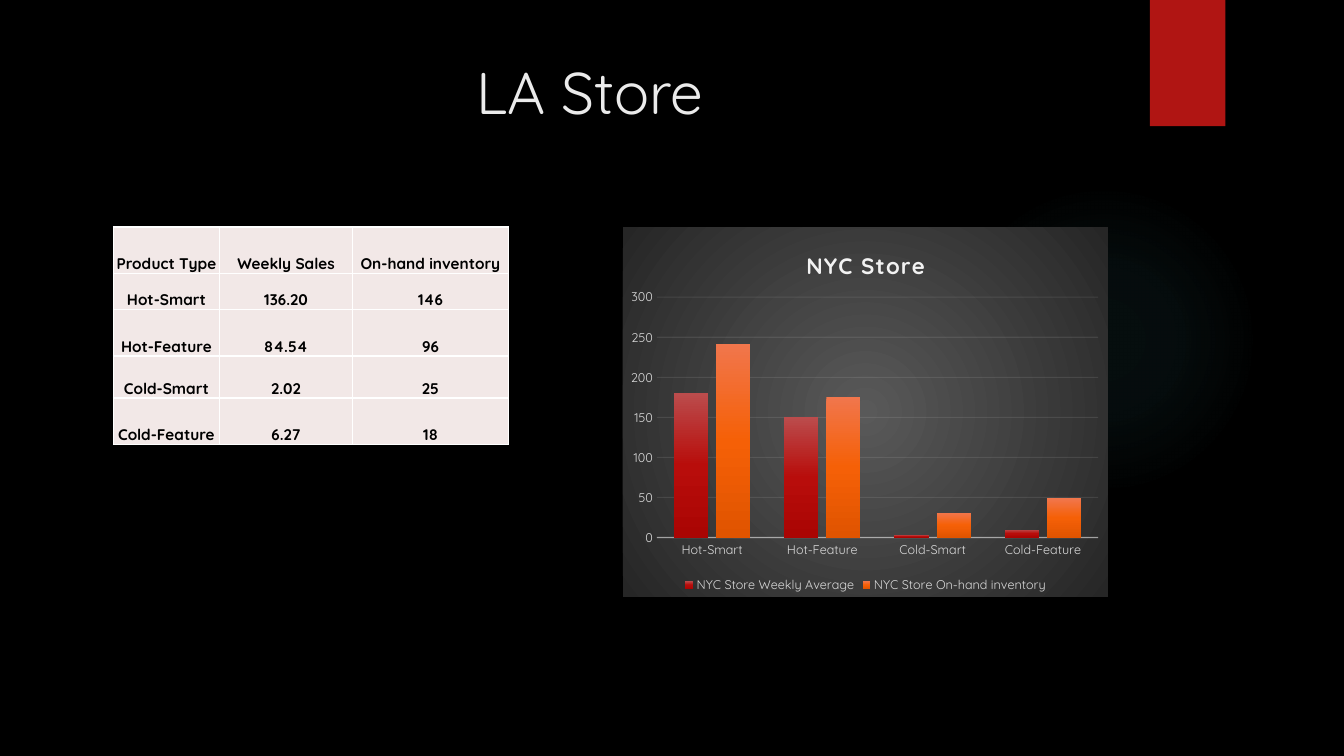
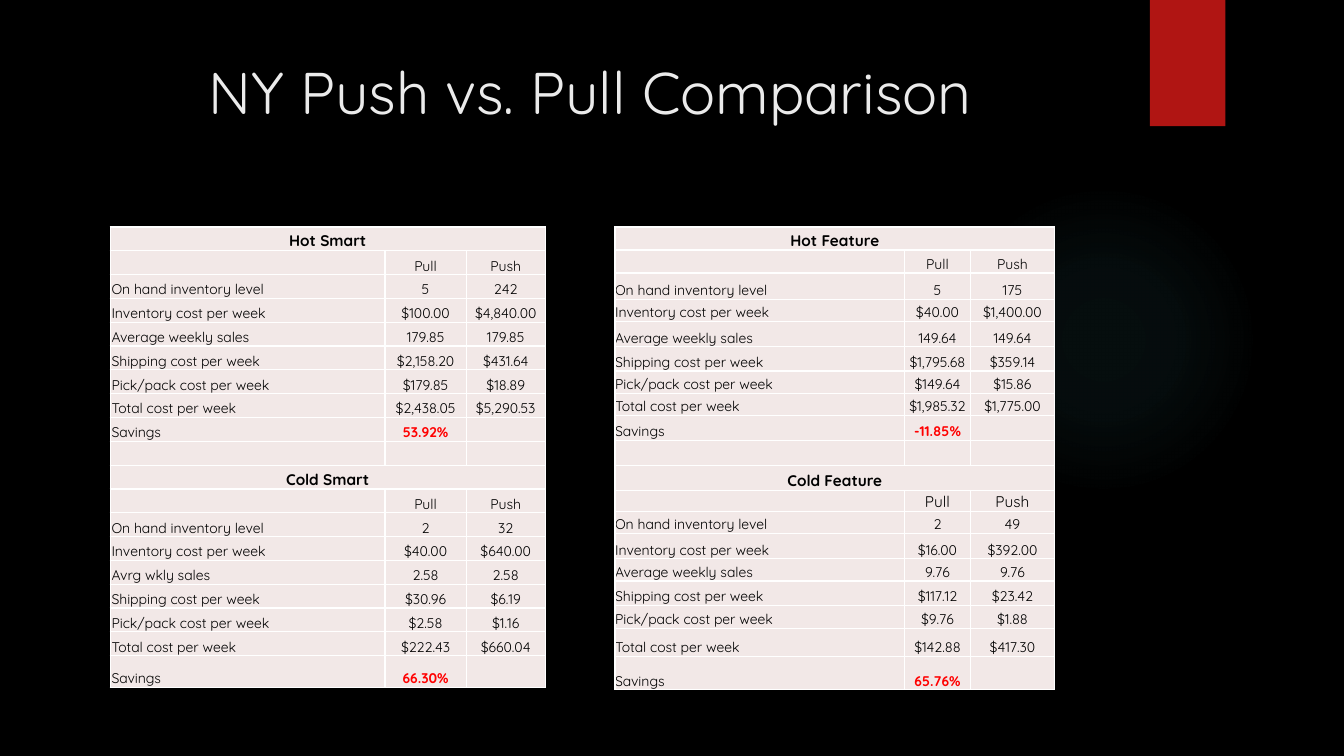
from lxml.etree import SubElement
from pptx import Presentation
from pptx.chart.data import CategoryChartData
from pptx.dml.color import RGBColor
from pptx.enum.chart import XL_CHART_TYPE, XL_LEGEND_POSITION, XL_TICK_MARK
from pptx.enum.shapes import MSO_SHAPE
from pptx.enum.text import MSO_ANCHOR, PP_ALIGN
from pptx.oxml import parse_xml
from pptx.oxml.ns import nsdecls, qn
from pptx.util import Cm, Pt

FONT = "Quicksand"
BLACK = RGBColor(0x00, 0x00, 0x00)
WHITE = RGBColor(0xFF, 0xFF, 0xFF)
BAND_RED = RGBColor(0xB0, 0x15, 0x13)
SAVINGS_RED = RGBColor(0xFF, 0x00, 0x00)
TITLE_GREY = RGBColor(0xEB, 0xEB, 0xEB)
CELL_PINK = RGBColor(0xF2, 0xE8, 0xE7)
AXIS_GREY = RGBColor(0xD9, 0xD9, 0xD9)
LINE_GREY = RGBColor(0xF2, 0xF2, 0xF2)
GLOW_TEAL = RGBColor(0x50, 0xB9, 0xC1)
PANEL_STOPS = [(0, RGBColor(0x59, 0x59, 0x59), 100), (100, RGBColor(0x26, 0x26, 0x26), 100)]
GLOW_STOPS = [(0, GLOW_TEAL, 7), (36, GLOW_TEAL, 6), (69, GLOW_TEAL, 0)]
SALES_STOPS = [
    (0, RGBColor(0xBB, 0x4C, 0x4C), 100),
    (50, RGBColor(0xB8, 0x0D, 0x0B), 100),
    (100, RGBColor(0xAA, 0x05, 0x03), 100),
]
STOCK_STOPS = [
    (0, RGBColor(0xF1, 0x76, 0x4C), 100),
    (50, RGBColor(0xF5, 0x60, 0x07), 100),
    (100, RGBColor(0xE0, 0x54, 0x00), 100),
]

CONTENT_TOP = 5.72
COST_LABELS = [
    "On hand inventory level",
    "Inventory cost per week",
    "Average weekly sales",
    "Shipping cost per week",
    "Pick/pack cost per week",
    "Total cost per week",
]


def gradient(stops, radial=False):
    marks = "".join(
        f'<a:gs pos="{at * 1000}"><a:srgbClr val="{color}">'
        f'<a:alpha val="{opacity * 1000}"/></a:srgbClr></a:gs>'
        for at, color, opacity in stops
    )
    direction = (
        '<a:path path="circle"><a:fillToRect l="50000" t="50000" r="50000" b="50000"/></a:path>'
        if radial else '<a:lin ang="5400000" scaled="0"/>'
    )
    return parse_xml(
        f'<a:gradFill {nsdecls("a")} rotWithShape="1"><a:gsLst>{marks}</a:gsLst>{direction}</a:gradFill>'
    )


def place(part, **settings):
    layout = part.find(qn("c:layout"))
    if layout is None:
        layout = parse_xml(f'<c:layout {nsdecls("c")}/>')
        part.insert(0, layout)
    manual = SubElement(layout, qn("c:manualLayout"))
    for name, value in settings.items():
        SubElement(manual, qn(f"c:{name}"), val=str(value))


def style_font(font, size, color, bold=False):
    font.name = FONT
    font.size = Pt(size)
    font.bold = bold
    font.color.rgb = color


def style_line(line, width, opacity):
    line.width = Pt(width)
    line.color.rgb = LINE_GREY
    tint = line._get_or_add_ln().find(".//" + qn("a:srgbClr"))
    SubElement(tint, qn("a:alpha"), val=str(opacity * 1000))


class Deck:
    def __init__(self):
        self.prs = Presentation()
        self.prs.slide_width = Cm(33.87)
        self.prs.slide_height = Cm(19.05)
        self.slide = None

    def add_slide(self, title, title_height):
        self.slide = self.prs.slides.add_slide(self.prs.slide_layouts[6])
        background = self.slide.background.fill
        background.solid()
        background.fore_color.rgb = BLACK
        glow = self.shape(MSO_SHAPE.OVAL, 23.9, 4.65, 7.82, 7.82)
        glow._element.spPr.find(qn("a:prstGeom")).addnext(gradient(GLOW_STOPS, radial=True))
        band = self.shape(MSO_SHAPE.RECTANGLE, 28.98, 0, 1.9, 3.18)
        band.fill.solid()
        band.fill.fore_color.rgb = BAND_RED
        self.title(title, title_height)

    def shape(self, kind, left, top, width, height):
        shape = self.slide.shapes.add_shape(kind, Cm(left), Cm(top), Cm(width), Cm(height))
        shape.line.fill.background()
        shape.shadow.inherit = False
        return shape

    def title(self, text, height):
        frame = self.slide.shapes.add_textbox(Cm(1.8), Cm(1.27), Cm(26.14), Cm(height)).text_frame
        frame.word_wrap = True
        frame.vertical_anchor = MSO_ANCHOR.TOP
        heading = frame.paragraphs[0]
        heading.text = text
        heading.alignment = PP_ALIGN.CENTER
        style_font(heading.font, 42, TITLE_GREY)

    def table(self, left, widths, heights, rows, inset):
        table = self.slide.shapes.add_table(
            len(rows), len(widths), Cm(left), Cm(CONTENT_TOP), Cm(sum(widths)), Cm(sum(heights))
        ).table
        table.first_row = table.horz_banding = False
        for column, width in zip(table.columns, widths):
            column.width = Cm(width)
        for r, (texts, size, bold) in enumerate(rows):
            table.rows[r].height = Cm(heights[r])
            for c in range(len(widths)):
                text = texts[c] if c < len(texts) else ""
                self.cell(table.cell(r, c), text, size, bold, bold or c > 0, inset)
            if len(texts) == 1:
                table.cell(r, 0).merge(table.cell(r, len(widths) - 1))

    def cell(self, cell, text, size, bold, centred, inset):
        borders = cell._tc.get_or_add_tcPr()
        for side in ("lnL", "lnR", "lnT", "lnB"):
            edge = SubElement(borders, qn(f"a:{side}"), w=str(Pt(1)))
            SubElement(SubElement(edge, qn("a:solidFill")), qn("a:srgbClr"), val=str(WHITE))
        cell.fill.solid()
        cell.fill.fore_color.rgb = CELL_PINK
        cell.margin_left = cell.margin_right = cell.margin_top = Cm(inset)
        cell.margin_bottom = 0
        cell.vertical_anchor = MSO_ANCHOR.BOTTOM
        entry = cell.text_frame.paragraphs[0]
        entry.alignment = PP_ALIGN.CENTER if centred else PP_ALIGN.LEFT
        saving = text.endswith("%")
        style_font(entry.font, size, SAVINGS_RED if saving else BLACK, bold or saving)
        if text:
            entry.text = text
        else:
            SubElement(entry._p, qn("a:endParaRPr"), sz=str(size * 100))

    def column_chart(self, left, width, height, title, categories, series):
        data = CategoryChartData()
        data.categories = categories
        for name, values, _ in series:
            data.add_series(name, values)
        chart = self.slide.shapes.add_chart(
            XL_CHART_TYPE.COLUMN_CLUSTERED, Cm(left), Cm(CONTENT_TOP), Cm(width), Cm(height), data
        ).chart
        style_font(chart.font, 10, WHITE)
        panel = parse_xml(f'<c:spPr {nsdecls("c", "a")}/>')
        panel.append(gradient(PANEL_STOPS, radial=True))
        SubElement(SubElement(panel, qn("a:ln")), qn("a:noFill"))
        chart._chartSpace.find(qn("c:chart")).addnext(panel)

        chart.has_title = True
        heading = chart.chart_title.text_frame.paragraphs[0]
        heading.text = title
        style_font(heading.font, 16, LINE_GREY, True)
        heading.font._element.set("spc", "100")
        place(chart.chart_title._element, xMode="edge", yMode="edge", x=0.37, y=0.05)

        plot = chart.plots[0]
        plot.gap_width = 100
        plot.overlap = -24
        plot.vary_by_categories = False
        for bars, (_, _, stops) in zip(plot.series, series):
            bars.invert_if_negative = False
            bars._element.get_or_add_spPr().append(gradient(stops))
        place(
            chart._chartSpace.find(".//" + qn("c:plotArea")),
            layoutTarget="inner", xMode="edge", yMode="edge", x=0.07, y=0.19, w=0.91, h=0.65,
        )

        for axis in (chart.category_axis, chart.value_axis):
            axis.major_tick_mark = axis.minor_tick_mark = XL_TICK_MARK.NONE
            style_font(axis.tick_labels.font, 9, AXIS_GREY)
        style_line(chart.category_axis.format.line, 1, 54)
        scale = chart.value_axis
        scale.minimum_scale, scale.maximum_scale, scale.major_unit = 0, 300, 50
        scale.format.line.fill.background()
        style_line(scale.major_gridlines.format.line, 0.75, 10)

        chart.has_legend = True
        chart.legend.position = XL_LEGEND_POSITION.BOTTOM
        chart.legend.include_in_layout = False
        style_font(chart.legend.font, 9, AXIS_GREY)


def cost_rows(product, pull, push, saving, labels=COST_LABELS, header_size=10):
    return [
        ([product], 11, True),
        (["", "Pull", "Push"], header_size, False),
        *((list(row), 10, False) for row in zip(labels, pull, push)),
        (["Savings", saving, ""], 10, False),
    ]


def main():
    deck = Deck()
    spacer = [(["", "", ""], 10, False)]

    deck.add_slide("LA Store", 3.02)
    inventory = [
        ["Product Type", "Weekly Sales", "On-hand inventory"],
        ["Hot-Smart", "136.20", "146"],
        ["Hot-Feature", "84.54", "96"],
        ["Cold-Smart", "2.02", "25"],
        ["Cold-Feature", "6.27", "18"],
    ]
    deck.table(
        2.86, [2.67, 3.36, 3.92], [1.18, 0.89, 1.18, 1.06, 1.18],
        [(texts, 11, True) for texts in inventory], 0.03,
    )
    deck.column_chart(
        15.7, 12.22, 9.32, "NYC Store",
        ["Hot-Smart", "Hot-Feature", "Cold-Smart", "Cold-Feature"],
        [
            ("NYC Store Weekly Average", (180, 150, 3, 10), SALES_STOPS),
            ("NYC Store On-hand inventory", (242, 175, 31, 49), STOCK_STOPS),
        ],
    )

    deck.add_slide("NY Push vs. Pull Comparison", 3.89)
    short_labels = [label.replace("Average weekly", "Avrg wkly") for label in COST_LABELS]
    smart = cost_rows(
        "Hot Smart",
        ["5", "$100.00", "179.85", "$2,158.20", "$179.85", "$2,438.05"],
        ["242", "$4,840.00", "179.85", "$431.64", "$18.89", "$5,290.53"],
        "53.92%",
    ) + spacer + cost_rows(
        "Cold Smart",
        ["2", "$40.00", "2.58", "$30.96", "$2.58", "$222.43"],
        ["32", "$640.00", "2.58", "$6.19", "$1.16", "$660.04"],
        "66.30%", labels=short_labels,
    )
    deck.table(2.78, [6.92, 2.05, 1.99], [0.6] * 18 + [0.8], smart, 0.03)

    feature = cost_rows(
        "Hot Feature",
        ["5", "$40.00", "149.64", "$1,795.68", "$149.64", "$1,985.32"],
        ["175", "$1,400.00", "149.64", "$359.14", "$15.86", "$1,775.00"],
        "-11.85%",
    ) + spacer + cost_rows(
        "Cold Feature",
        ["2", "$16.00", "9.76", "$117.12", "$9.76", "$142.88"],
        ["49", "$392.00", "9.76", "$23.42", "$1.88", "$417.30"],
        "65.76%", header_size=11,
    )
    feature_heights = [
        0.58, 0.58, 0.66, 0.56, 0.64, 0.61, 0.56, 0.56, 0.63, 0.64,
        0.61, 0.53, 0.56, 0.64, 0.56, 0.61, 0.58, 0.71, 0.84,
    ]
    deck.table(15.5, [7.3, 1.65, 2.13], feature_heights, feature, 0)

    deck.prs.save("out.pptx")


if __name__ == "__main__":
    main()
